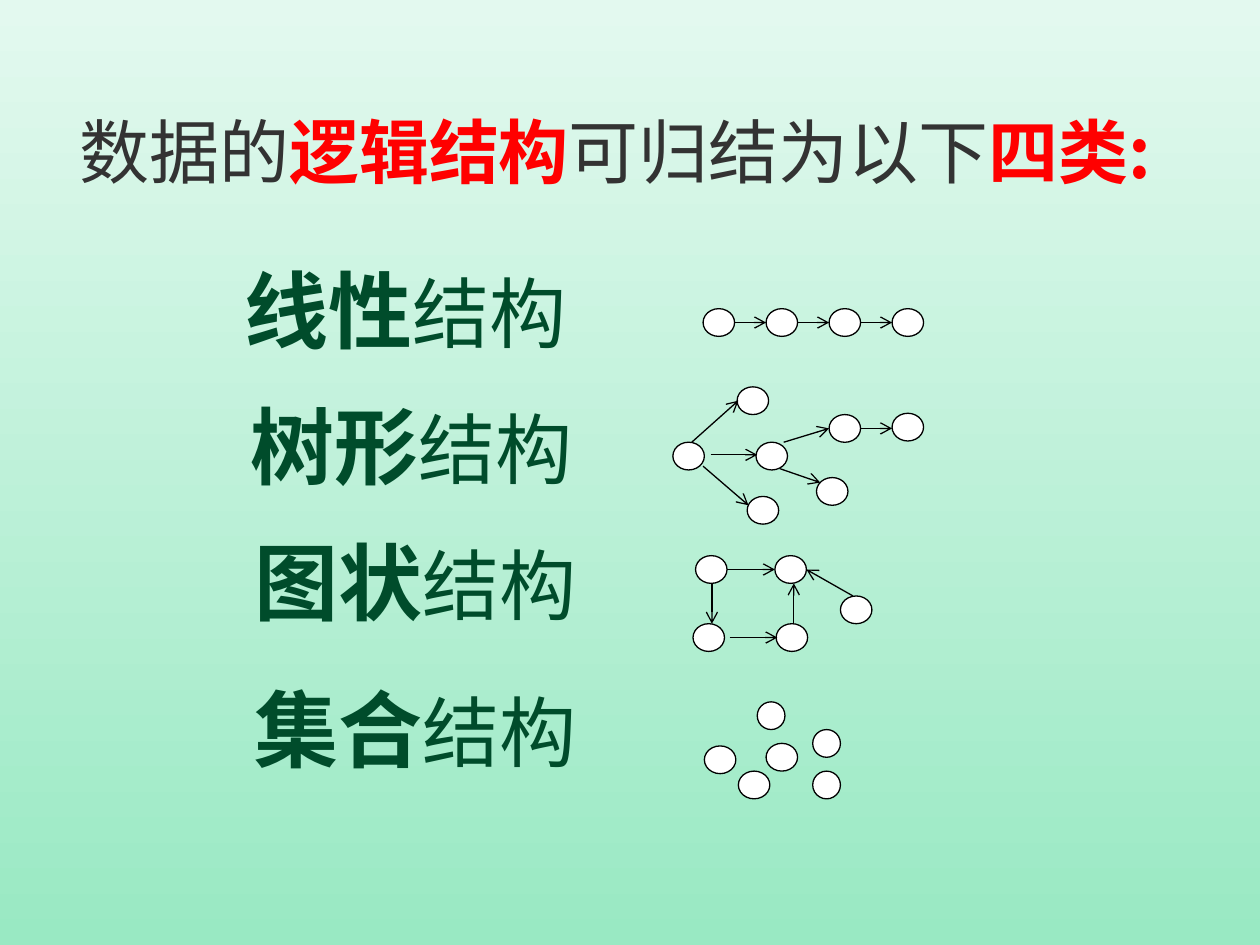
from lxml.etree import SubElement
from pptx import Presentation
from pptx.dml.color import RGBColor
from pptx.enum.shapes import MSO_CONNECTOR as Connector, MSO_SHAPE as Shape
from pptx.enum.text import MSO_ANCHOR as Anchor, MSO_AUTO_SIZE as AutoSize, PP_ALIGN as Align
from pptx.oxml.ns import qn
from pptx.util import Inches, Pt

FONT = "Noto Sans CJK SC"
COLORS = {
    "sky": "E3F9EF",
    "mint": "99E9C3",
    "text": "333333",
    "accent": "FF0000",
    "label": "004C2B",
    "node": "FFFFFF",
    "line": "000000",
}
NODE_WIDTH, NODE_HEIGHT = 0.25, 0.22


def color(name):
    return RGBColor.from_string(COLORS[name])


def set_background(page):
    fill = page.background.fill
    fill.gradient()
    fill.gradient_angle = 270
    for stop, name in zip(fill.gradient_stops, ("sky", "mint")):
        stop.color.rgb = color(name)


def write_spans(box, spans):
    frame = box.text_frame
    frame_format = {
        "word_wrap": False,
        "auto_size": AutoSize.NONE,
        "vertical_anchor": Anchor.TOP,
    }
    for key, value in frame_format.items():
        setattr(frame, key, value)
    para = frame.paragraphs[0]
    para.alignment = Align.LEFT
    para.line_spacing = 0.9
    for text, size, bold, name in spans:
        span = para.add_run()
        span.text = text
        for key, value in {"name": FONT, "size": Pt(size), "bold": bold}.items():
            setattr(span.font, key, value)
        span.font.color.rgb = color(name)
        SubElement(span.font._element, qn("a:ea"), typeface=FONT)


def add_title(page):
    title = page.shapes.title
    place = {"left": 0.53, "top": 0.89, "width": 8.93, "height": 0.77}
    for key, value in place.items():
        setattr(title, key, Inches(value))
    write_spans(title, [
        ("数据的", 40, False, "text"),
        ("逻辑结构", 40, True, "accent"),
        ("可归结为以下", 40, False, "text"),
        ("四类:", 40, True, "accent"),
    ])


def add_label(page, left, top, kind):
    box = page.shapes.add_textbox(Inches(left), Inches(top), Inches(2.75), Inches(0.9))
    write_spans(box, [(kind, 48, True, "label"), ("结构", 44, False, "label")])


def add_node(group, left, top, width=NODE_WIDTH):
    node = group.shapes.add_shape(
        Shape.OVAL, Inches(left), Inches(top), Inches(width), Inches(NODE_HEIGHT))
    node.shadow.inherit = False
    node.fill.solid()
    node.fill.fore_color.rgb = color("node")
    node.line.color.rgb = color("line")
    node.line.width = Pt(0.75)


def add_arrow(group, *ends):
    arrow = group.shapes.add_connector(Connector.STRAIGHT, *map(Inches, ends))
    arrow.line.color.rgb = color("line")
    arrow.line.width = Pt(0.75)
    SubElement(arrow.line._get_or_add_ln(), qn("a:tailEnd"), type="arrow")
    SubElement(arrow._element.spPr, qn("a:effectLst"))


def add_diagram(page, nodes, arrows=()):
    group = page.shapes.add_group_shape()
    for node in nodes:
        add_node(group, *node)
    for arrow in arrows:
        add_arrow(group, *arrow)


def add_linear(page):
    left, top, step, count = 5.58, 2.45, 0.5, 4
    middle = top + NODE_HEIGHT / 2
    starts = [left + step * index for index in range(count)]
    add_diagram(
        page,
        [(start, top) for start in starts],
        [(start + NODE_WIDTH, middle, start + step, middle) for start in starts[:-1]],
    )


def add_tree(page):
    add_diagram(
        page,
        [(5.34, 3.51), (5.85, 3.07), (6, 3.51), (5.93, 3.94),
         (6.58, 3.29), (6.48, 3.79), (7.08, 3.28)],
        [(5.64, 3.61, 6.01, 3.61), (5.49, 3.51, 5.86, 3.18),
         (5.58, 3.7, 5.94, 4.01), (6.22, 3.51, 6.58, 3.4),
         (6.19, 3.72, 6.51, 3.83), (6.83, 3.4, 7.08, 3.4)],
    )


def add_graph(page):
    add_diagram(
        page,
        [(5.5, 4.95), (5.52, 4.41), (6.16, 4.95), (6.15, 4.41), (6.67, 4.73)],
        [(5.79, 5.06, 6.17, 5.06), (5.77, 4.52, 6.15, 4.52),
         (5.65, 4.63, 5.65, 4.95), (6.3, 4.95, 6.3, 4.63),
         (6.77, 4.73, 6.4, 4.52)],
    )


def add_set(page):
    add_diagram(page, [
        (6.08, 5.9), (5.86, 6.12), (5.59, 5.92),
        (6.45, 6.12, 0.22), (6.45, 5.79, 0.22), (6.01, 5.57, 0.22),
    ])


def main():
    deck = Presentation()
    deck.slide_width, deck.slide_height = Inches(10), Inches(7.5)
    page = deck.slides.add_slide(deck.slide_layouts[5])
    set_background(page)
    add_title(page)
    labels = [(1.84, 2.09, "线性"), (1.89, 3.17, "树形"),
              (1.92, 4.25, "图状"), (1.92, 5.42, "集合")]
    for label in labels:
        add_label(page, *label)
    for add_structure in (add_linear, add_tree, add_graph, add_set):
        add_structure(page)
    deck.save("out.pptx")


if __name__ == "__main__":
    main()
